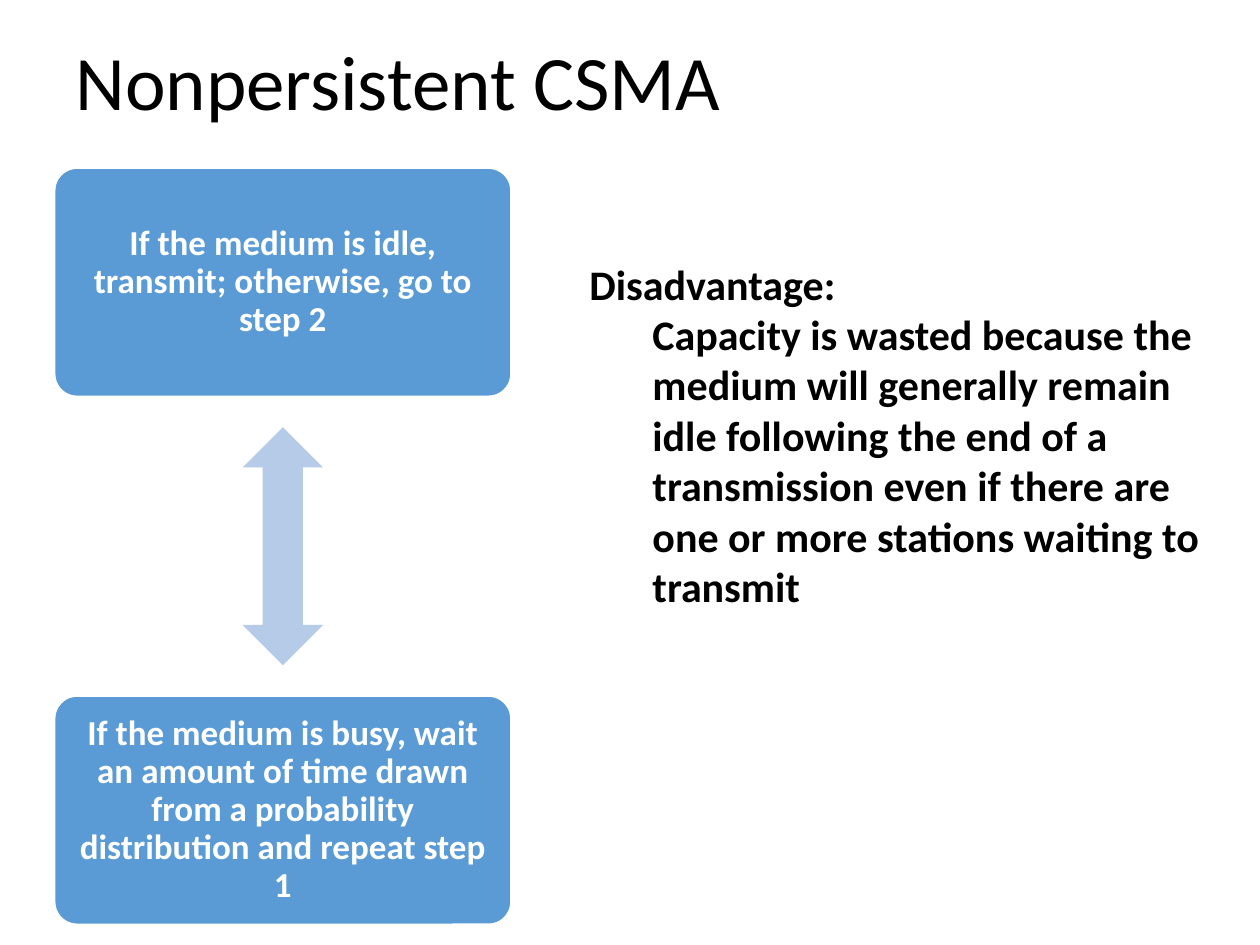
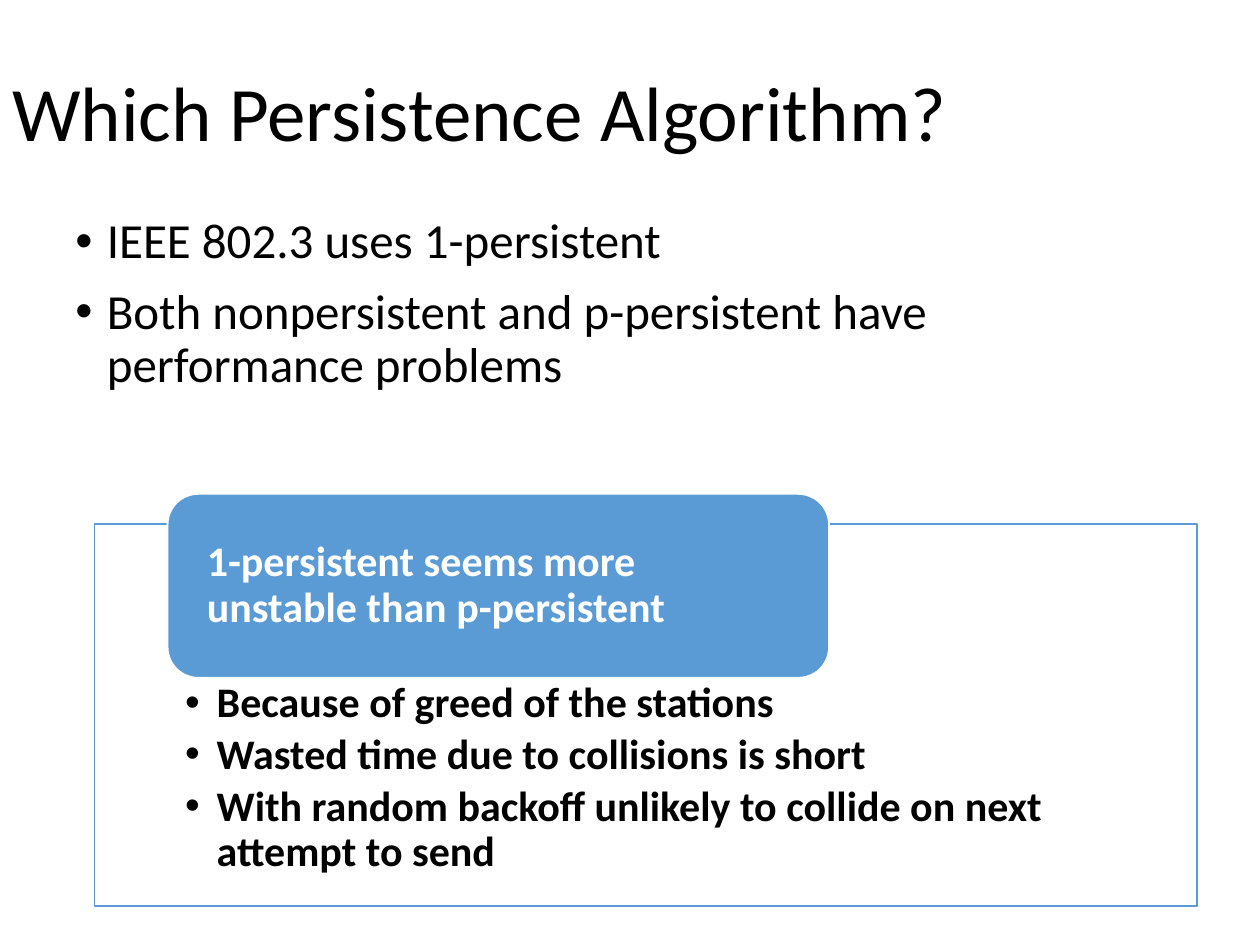
from pptx import Presentation
from pptx.dml.color import RGBColor
from pptx.enum.shapes import MSO_SHAPE
from pptx.enum.text import MSO_ANCHOR, PP_ALIGN
from pptx.oxml.ns import qn
from pptx.util import Inches, Pt
from lxml import etree

FONT = "Calibri"
COLORS = {
    "text": "000000",
    "paper": "FFFFFF",
    "box": "5B9BD5",
    "arrow": "B5CBE7",
}

# The slide is a grid of 40 columns by 30 rows of square cells.
COLUMNS, ROWS = 40, 30
CELL = Inches(0.25)
TEXT_INSETS = (0.4, 0.2, 0.4, 0.2)
HANGING_INDENT = 1


def cells(count):
    return round(count * CELL)


def color(name):
    return RGBColor.from_string(COLORS[name])


def set_frame(shape, insets, anchor):
    frame = shape.text_frame
    frame.word_wrap = True
    frame.vertical_anchor = anchor
    (frame.margin_left, frame.margin_top,
     frame.margin_right, frame.margin_bottom) = map(cells, insets)


def indent(paragraph, left, first=0):
    properties = paragraph._p.get_or_add_pPr()
    properties.set("marL", str(cells(left)))
    properties.set("indent", str(cells(first)))
    return properties


def add_bullet(paragraph):
    properties = indent(paragraph, HANGING_INDENT, -HANGING_INDENT)
    etree.SubElement(properties, qn("a:buFont")).set("typeface", "Arial")
    etree.SubElement(properties, qn("a:buChar")).set("char", "•")


def write(shape, lines, size, ink="text", bold=False, align=PP_ALIGN.LEFT,
          spacing=0.9, before=0, after=0, bullets=False):
    """Write one paragraph per line and return the paragraphs."""
    frame = shape.text_frame
    paragraphs = [frame.paragraphs[0]]
    paragraphs += [frame.add_paragraph() for _ in lines[1:]]
    for paragraph, line in zip(paragraphs, lines):
        paragraph.alignment = align
        paragraph.line_spacing = spacing
        paragraph.space_before = Pt(before)
        paragraph.space_after = Pt(after)
        if bullets:
            add_bullet(paragraph)
        run = paragraph.add_run()
        run.text = line
        run.font.name = FONT
        run.font.size = Pt(size)
        run.font.bold = bold
        run.font.color.rgb = color(ink)
    return paragraphs


def add_text(slide, area, lines, size, anchor=MSO_ANCHOR.TOP, **style):
    box = slide.shapes.add_textbox(*map(cells, area))
    set_frame(box, TEXT_INSETS, anchor)
    return write(box, lines, size, **style)


def add_title(slide, area, title):
    add_text(slide, area, [title], 44, MSO_ANCHOR.MIDDLE)


def add_block(slide, kind, area, fill, line=None, line_width=1, adjustments=()):
    block = slide.shapes.add_shape(kind, *map(cells, area))
    block.shadow.inherit = False
    block.fill.solid()
    block.fill.fore_color.rgb = color(fill)
    if line:
        block.line.color.rgb = color(line)
        block.line.width = Pt(line_width)
    else:
        block.line.fill.background()
    for index, value in enumerate(adjustments):
        block.adjustments[index] = value
    return block


def add_step_cycle(slide, steps):
    """Stack the step boxes and put a double arrow in each gap."""
    left, top, width, height, pitch = 1.72, 5.32, 14.52, 7.28, 16.76
    arrow_width, arrow_height = 2.56, 7.56
    for index, step in enumerate(steps):
        step_top = top + index * pitch
        box = add_block(slide, MSO_SHAPE.ROUNDED_RECTANGLE,
                        (left, step_top, width, height),
                        "box", "paper", 1.5, [0.1])
        set_frame(box, [0.32] * 4, MSO_ANCHOR.MIDDLE)
        write(box, [step], 20, "paper", True, PP_ALIGN.CENTER)
        if index:
            gap = pitch - height
            add_block(slide, MSO_SHAPE.UP_DOWN_ARROW,
                      (left + (width - arrow_width) / 2,
                       step_top - (gap + arrow_height) / 2,
                       arrow_width, arrow_height),
                      "arrow", adjustments=[0.6, 0.5])


def add_reason_panel(slide, heading, reasons):
    panel = add_block(slide, MSO_SHAPE.RECTANGLE, (3, 16.64, 35, 12.12),
                      "paper", "box")
    set_frame(panel, (2.88, 5, 2.88, 0.76), MSO_ANCHOR.TOP)
    write(panel, reasons, 24, bold=True, after=3.6, bullets=True)
    tab = add_block(slide, MSO_SHAPE.ROUNDED_RECTANGLE, (5.32, 15.68, 21, 5.84),
                    "box", "paper")
    set_frame(tab, (0.96, 0, 0.96, 0), MSO_ANCHOR.MIDDLE)
    write(tab, [heading], 24, "paper", True)


def build_nonpersistent(slide):
    add_title(slide, (2, -1, 36, 7.44), "Nonpersistent CSMA")
    add_step_cycle(slide, [
        "If the medium is idle, transmit; otherwise, go to step 2",
        "If the medium is busy, wait an amount of time drawn from a "
        "probability distribution and repeat step 1",
    ])
    _, explanation = add_text(slide, (18.32, 8, 21, 13.32), [
        "Disadvantage:",
        "Capacity is wasted because the medium will generally remain idle "
        "following the end of a transmission even if there are one or more "
        "stations waiting to transmit",
    ], 24, bold=True, spacing=1.0)
    indent(explanation, 2)


def build_persistence_choice(slide):
    add_title(slide, (0, 1.2, COLUMNS, 5), "Which Persistence Algorithm?")
    add_text(slide, (2, 6.68, 36, 21), [
        "IEEE 802.3 uses 1-persistent",
        "Both nonpersistent and p-persistent have performance problems",
    ], 28, before=10, bullets=True)
    add_reason_panel(slide, "1-persistent seems more unstable than p-persistent", [
        "Because of greed of the stations",
        "Wasted time due to collisions is short",
        "With random backoff unlikely to collide on next attempt to send",
    ])


def main():
    deck = Presentation()
    deck.slide_width = cells(COLUMNS)
    deck.slide_height = cells(ROWS)
    blank = deck.slide_layouts[6]
    for build in (build_nonpersistent, build_persistence_choice):
        build(deck.slides.add_slide(blank))
    deck.save("out.pptx")


if __name__ == "__main__":
    main()
